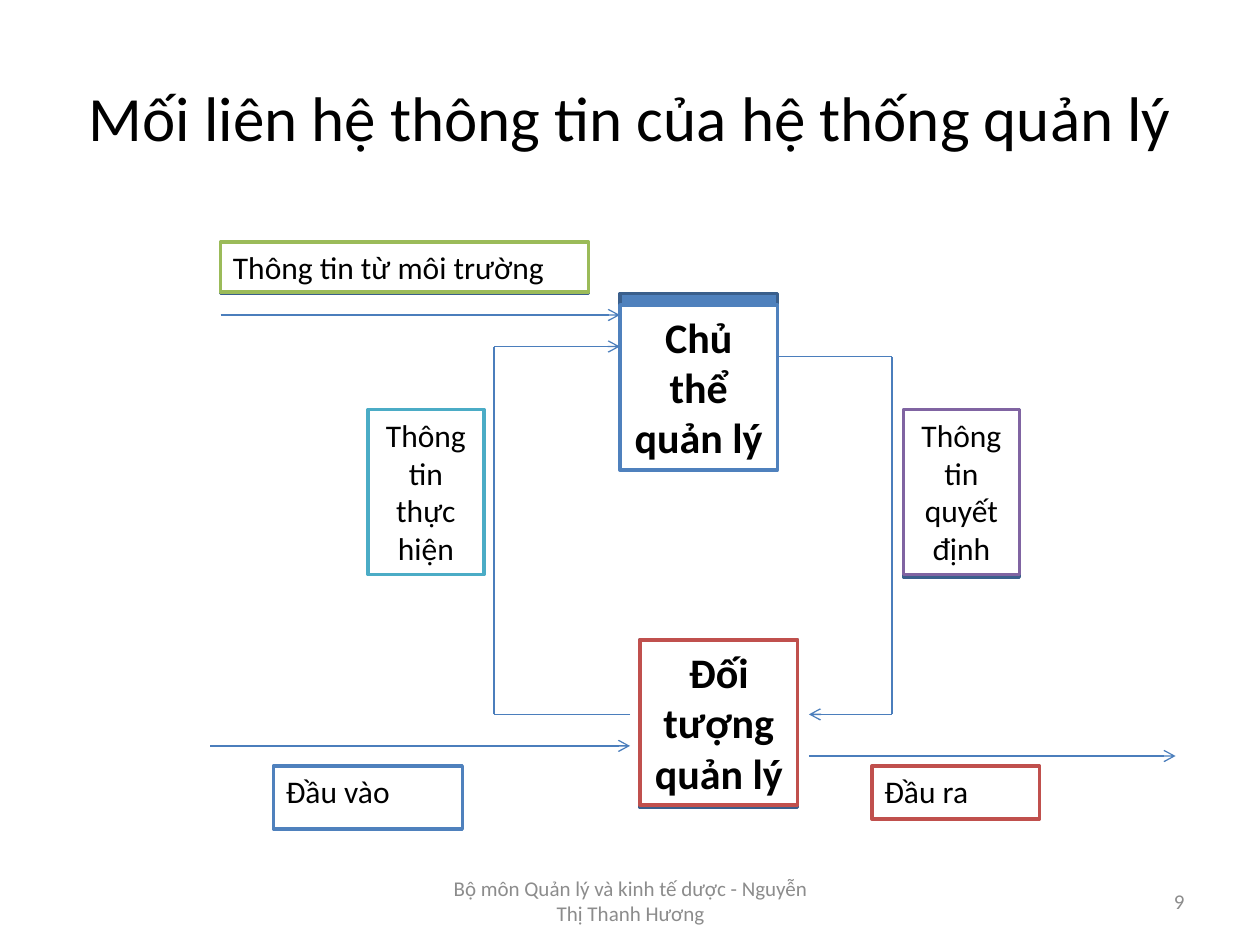
import pptx
import pptx.util
import pptx.dml.color
import pptx.enum.shapes
import pptx.enum.text
import pptx.oxml.ns
from lxml import etree

Inches = pptx.util.Inches
Pt = pptx.util.Pt
RGBColor = pptx.dml.color.RGBColor
ALIGN = pptx.enum.text.PP_ALIGN
ANCHOR = pptx.enum.text.MSO_ANCHOR
qn = pptx.oxml.ns.qn

BLACK = RGBColor(0x00, 0x00, 0x00)
WHITE = RGBColor(0xFF, 0xFF, 0xFF)
GREY = RGBColor(0x8C, 0x8C, 0x8C)
BLUE = RGBColor(0x4F, 0x81, 0xBD)
NAVY = RGBColor(0x3A, 0x5F, 0x8C)
WIRE = RGBColor(0x4B, 0x7E, 0xBC)
RED = RGBColor(0xC0, 0x50, 0x4D)
TEAL = RGBColor(0x4B, 0xAC, 0xC6)
PURPLE = RGBColor(0x80, 0x64, 0xA2)
GREEN = RGBColor(0x9B, 0xBB, 0x59)


def write(shape, text, size, color=BLACK, bold=False, align=ALIGN.CENTER,
          anchor=ANCHOR.TOP):
    frame = shape.text_frame
    frame.word_wrap = True
    frame.vertical_anchor = anchor
    para = frame.paragraphs[0]
    para.alignment = align
    run = para.add_run()
    run.text = text
    font = run.font
    font.name = "Calibri"
    font.size = Pt(size)
    font.bold = bold
    font.color.rgb = color


def add_label(slide, box, text, size, color, align):
    label = slide.shapes.add_textbox(*map(Inches, box))
    write(label, text, size, color, align=align, anchor=ANCHOR.MIDDLE)


def add_rect(slide, box, fill, line):
    rect = slide.shapes.add_shape(
        pptx.enum.shapes.MSO_SHAPE.RECTANGLE, *map(Inches, box))
    rect.shadow.inherit = False
    rect.fill.solid()
    rect.fill.fore_color.rgb = fill
    rect.line.color.rgb = line
    rect.line.width = Pt(2)
    return rect


def add_card(slide, box, text, line, size=18, bold=False,
             align=ALIGN.CENTER, plate=None):
    """White text card; plate is the top and height of a blue plate behind."""
    left, top, width, height = box
    if plate:
        add_rect(slide, (left, plate[0], width, plate[1]), BLUE, NAVY)
    card = add_rect(slide, box, WHITE, line)
    write(card, text, size, bold=bold, align=align)


def add_wire(slide, start, end, arrow=False):
    wire = slide.shapes.add_connector(
        pptx.enum.shapes.MSO_CONNECTOR.STRAIGHT,
        *map(Inches, (*start, *end)))
    wire.line.color.rgb = WIRE
    wire.line.width = Pt(0.75)
    if arrow:
        tail = etree.SubElement(wire.line._get_or_add_ln(), qn("a:tailEnd"))
        tail.set("type", "arrow")
    etree.SubElement(wire._element.spPr, qn("a:effectLst"))


def add_route(slide, points):
    """Chain of wires through the points, with an arrow at the last one."""
    last = len(points) - 2
    for i, (start, end) in enumerate(zip(points, points[1:])):
        add_wire(slide, start, end, arrow=i == last)


def add_nodes(slide, x, y):
    add_card(slide, (x + 3.25, y + 0.5, 1.25, 1.31), "Chủ thể quản lý", BLUE,
             24, True, plate=(y + 0.41, 1.17))
    add_card(slide, (x + 3.41, y + 3.16, 1.25, 1.31), "Đối tượng quản lý",
             RED, 24, True, plate=(y + 3.16, 1.33))


def add_loop(slide, x, y):
    """Decision path down the right side and feedback up the left side."""
    low = y + 3.75
    right, left = x + 5.41, x + 2.25
    add_route(slide, [(x + 4.5, y + 0.91), (right, y + 0.91),
                      (right, low), (x + 4.75, low)])
    add_route(slide, [(x + 3.33, low), (left, low),
                      (left, y + 0.83), (x + 3.25, y + 0.83)])
    add_card(slide, (x + 1.25, y + 1.33, 0.92, 1.31),
             "Thông tin thực hiện", TEAL)
    add_card(slide, (x + 5.5, y + 1.33, 0.92, 1.31),
             "Thông tin quyết định", PURPLE, plate=(y + 1.33, 1.33))


def add_flows(slide, x, y):
    """Arrows that enter and leave the system, with their cards."""
    add_route(slide, [(x, y + 4), (x + 3.33, y + 4)])
    add_route(slide, [(x + 4.75, y + 4.08), (x + 7.66, y + 4.08)])
    add_route(slide, [(x + 0.08, y + 0.58), (x + 3.25, y + 0.58)])
    add_card(slide, (x + 0.5, y + 4.16, 1.5, 0.5), "Đầu vào", BLUE,
             align=ALIGN.LEFT)
    add_card(slide, (x + 5.25, y + 4.16, 1.33, 0.42), "Đầu ra", RED,
             align=ALIGN.LEFT)
    add_card(slide, (x + 0.08, y, 2.92, 0.4), "Thông tin từ môi trường",
             GREEN, align=ALIGN.LEFT, plate=(y + 0.08, 0.33))


def add_footer(slide, x, y):
    add_label(slide, (x, y, 3.17, 0.4),
              "Bộ môn Quản lý và kinh tế dược - Nguyễn Thị Thanh Hương",
              12, GREY, ALIGN.CENTER)
    add_label(slide, (x + 3.75, y, 2.33, 0.4), "9", 12, GREY, ALIGN.RIGHT)


def main():
    deck = pptx.Presentation()
    deck.slide_width, deck.slide_height = Inches(10), Inches(7.5)
    slide = deck.slides.add_slide(deck.slide_layouts[6])
    add_label(slide, (0.5, 0.3, 9, 1.25),
              "Mối liên hệ thông tin của hệ thống quản lý",
              36, BLACK, ALIGN.CENTER)
    for part in (add_nodes, add_loop, add_flows):
        part(slide, 1.67, 1.92)
    add_footer(slide, 3.42, 6.95)
    deck.save("out.pptx")


if __name__ == "__main__":
    main()
